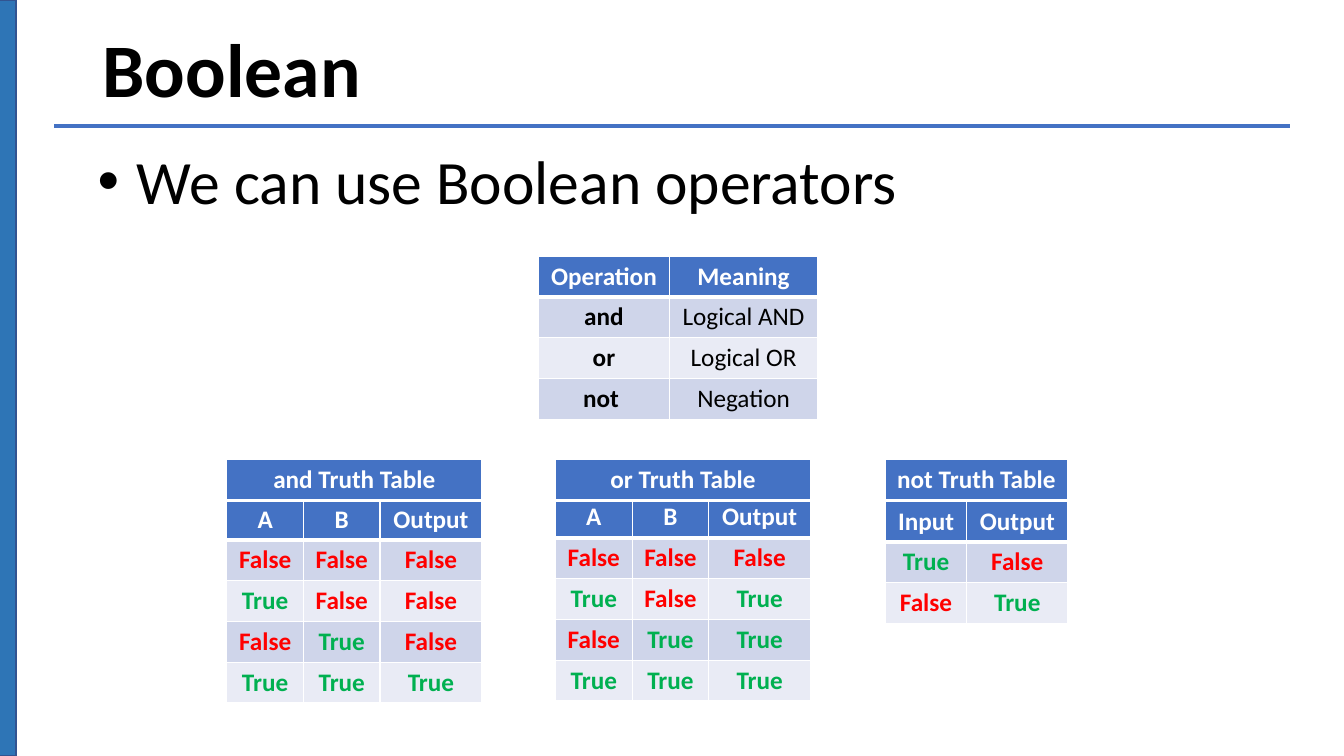
from lxml import etree
from pptx import Presentation
from pptx.dml.color import RGBColor
from pptx.enum.shapes import MSO_CONNECTOR, MSO_SHAPE
from pptx.enum.text import MSO_ANCHOR, PP_ALIGN
from pptx.oxml.ns import qn
from pptx.util import Inches, Pt

RECT = MSO_SHAPE.RECTANGLE
LINE = MSO_CONNECTOR.STRAIGHT
MIDDLE = MSO_ANCHOR.MIDDLE
CENTER = PP_ALIGN.CENTER

BLACK = RGBColor(0, 0, 0)
WHITE = RGBColor(255, 255, 255)
BLUE = RGBColor(0x44, 0x72, 0xC4)
BAR = RGBColor(0x2E, 0x75, 0xB6)
EDGE = RGBColor(0x32, 0x54, 0x91)
DARK = RGBColor(0xCF, 0xD5, 0xEA)
LIGHT = RGBColor(0xE9, 0xEB, 0xF5)
RED = RGBColor(255, 0, 0)
GREEN = RGBColor(0, 0xB0, 0x50)
TINTS = {"True": GREEN, "False": RED}
ROW = 0.405

deck = Presentation()
deck.slide_width = Inches(13.33)
deck.slide_height = Inches(7.5)
slide = deck.slides.add_slide(deck.slide_layouts[6])
shapes = slide.shapes


def add_run(para, text, size, color, bold):
    run = para.add_run()
    run.text = text
    run.font.name = "Calibri"
    run.font.size = Pt(size)
    run.font.color.rgb = color
    run.font.bold = bold


def add_grid(left, top, widths, rows):
    frame = shapes.add_table(len(rows), len(widths), Inches(left), Inches(top),
                             Inches(sum(widths)), Inches(ROW * len(rows)))
    table = frame.table
    table.first_row = table.horz_banding = False
    for col, width in zip(table.columns, widths):
        col.width = Inches(width)
    for r, row in enumerate(rows):
        table.rows[r].height = Inches(ROW)
        for c, text in enumerate(row):
            cell = table.cell(r, c)
            props = cell._tc.get_or_add_tcPr()
            thick = {0: "lnB", 1: "lnT"}.get(r)
            for side in ("lnL", "lnR", "lnT", "lnB"):
                edge = etree.SubElement(props, qn("a:" + side),
                                        w=str(Pt(3 if side == thick else 1)))
                fill = etree.SubElement(edge, qn("a:solidFill"))
                etree.SubElement(fill, qn("a:srgbClr"), val=str(WHITE))
            cell.fill.solid()
            cell.fill.fore_color.rgb = (LIGHT, DARK)[r % 2] if r else BLUE
            para = cell.text_frame.paragraphs[0]
            para.alignment = CENTER
            color = TINTS.get(text, BLACK) if r else WHITE
            add_run(para, text, 18, color, r == 0 or c == 0 or text in TINTS)


bar = shapes.add_shape(RECT, Inches(-0.17), 0, Inches(0.33), Inches(7.5))
bar.shadow.inherit = False
bar.fill.solid()
bar.fill.fore_color.rgb = BAR
bar.line.color.rgb = EDGE
bar.line.width = Pt(1)

title = shapes.add_textbox(Inches(0.92), 0, Inches(11.5), Inches(1.45)).text_frame
title.word_wrap = True
title.vertical_anchor = MIDDLE
title.paragraphs[0].line_spacing = 0.9
add_run(title.paragraphs[0], "Boolean", 54, BLACK, True)

rule = shapes.add_connector(LINE, Inches(0.54), Inches(1.25), Inches(12.79), Inches(1.25))
rule.line.color.rgb = BLUE
rule.line.width = Pt(3)
etree.SubElement(rule._element.spPr, qn("a:effectLst"))

body = shapes.add_textbox(Inches(0.87), Inches(1.45), Inches(11.92), Inches(5.36)).text_frame
body.word_wrap = True
point = body.paragraphs[0]
point.line_spacing = 0.9
props = point._p.get_or_add_pPr()
props.set("marL", str(Inches(0.39)))
props.set("indent", str(-Inches(0.39)))
etree.SubElement(props, qn("a:buFont"), typeface="Arial")
etree.SubElement(props, qn("a:buChar"), char="•")
add_run(point, "We can use Boolean operators", 44, BLACK, False)

add_grid(5.34, 2.54, [1.3, 1.47], [
    ["Operation", "Meaning"],
    ["and", "Logical AND"],
    ["or", "Logical OR"],
    ["not ", "Negation"],
])

HEAD = ["A", "B", "Output"]
PAIRS = [("False", "False"), ("True", "False"), ("False", "True"), ("True", "True")]
truths = [
    ("and", 2.25, 4.95, [0.76, 0.76, 1.01],
     [HEAD] + [[a, b, "True" if a == b == "True" else "False"] for a, b in PAIRS]),
    ("or", 5.51, 4.93, [0.76, 0.76, 1.01],
     [HEAD] + [[a, b, "True" if "True" in (a, b) else "False"] for a, b in PAIRS]),
    ("not", 8.78, 4.97, [0.81, 1],
     [["Input", "Output"], ["True", "False"], ["False", "True"]]),
]
for name, left, top, widths, rows in truths:
    add_grid(left, top, widths, rows)
for name, left, top, widths, rows in truths:
    add_grid(left, 4.56, [sum(widths)], [[name + " Truth Table"]])

deck.save("out.pptx")
